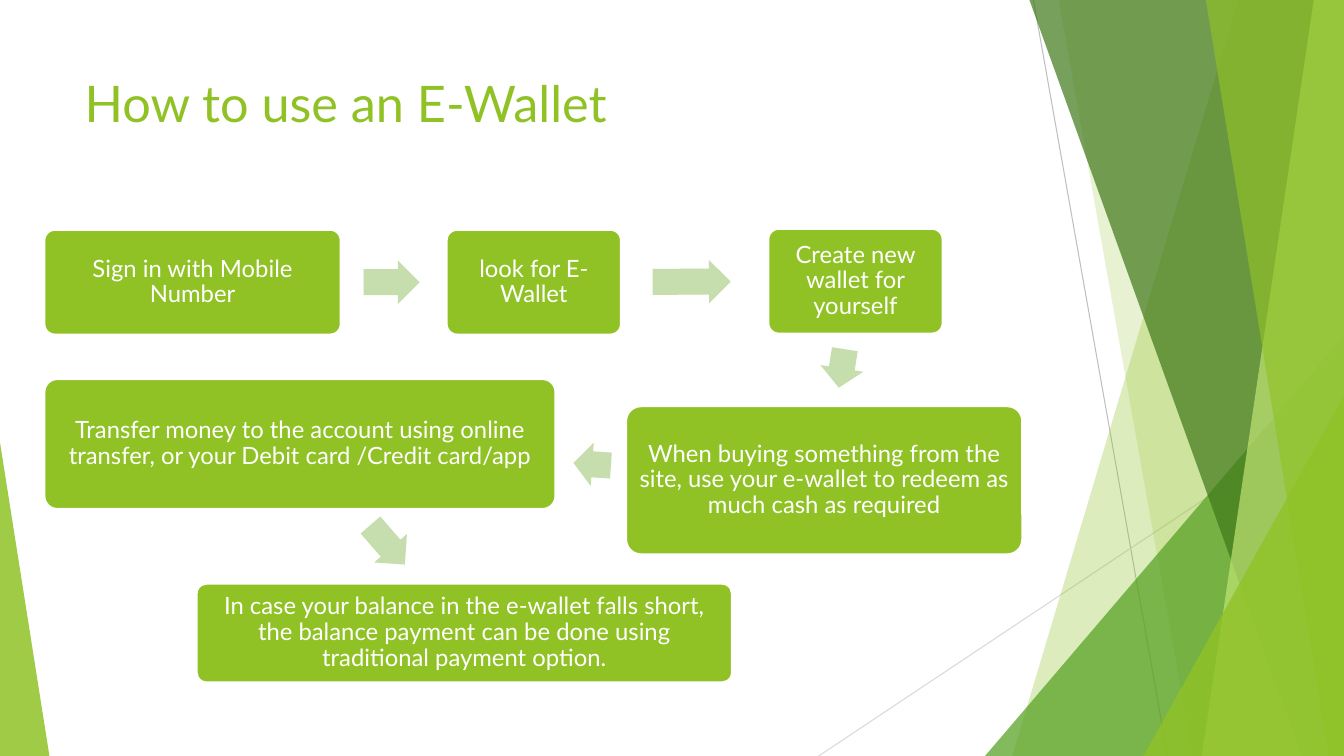
from itertools import pairwise
from math import atan2, degrees, hypot

from lxml import etree
from pptx import Presentation
from pptx.dml.color import RGBColor
from pptx.enum.shapes import MSO_CONNECTOR, MSO_SHAPE
from pptx.enum.text import MSO_ANCHOR, PP_ALIGN
from pptx.oxml.ns import qn
from pptx.util import Inches, Pt

WIDTH, HEIGHT = 13.33, 7.5
FONT = "Lato"
GREEN = RGBColor(0x90, 0xC2, 0x26)
LEAF = RGBColor(0x54, 0xA0, 0x21)
FOREST = RGBColor(0x3F, 0x78, 0x19)
LIME = RGBColor(0xC0, 0xE4, 0x74)
PALE = RGBColor(0xC6, 0xDD, 0xAD)
WHITE = RGBColor(0xFF, 0xFF, 0xFF)
GRAY = RGBColor(0xBF, 0xBF, 0xBF)
LIGHT_GRAY = RGBColor(0xD9, 0xD9, 0xD9)

TITLE = "How to use an E-Wallet"
STEPS = [
    ("Sign in with Mobile Number", 0.44, 2.28, 2.94, 1.04),
    ("look for E-Wallet", 4.43, 2.28, 1.73, 1.04),
    ("Create new wallet for yourself", 7.62, 2.27, 1.73, 1.04),
    ("When buying something from the site, use your e-wallet to redeem as much cash as required",
     6.21, 4.03, 3.93, 1.47),
    ("Transfer money to the account using online transfer, or your Debit card /Credit card/app",
     0.44, 3.76, 5.07, 1.29),
    ("In case your balance in the e-wallet falls short, the balance payment can be done using "
     "traditional payment option.", 1.95, 5.79, 5.31, 0.98),
]
RAYS = [(10.25, 0, 11.58, HEIGHT, GRAY), (WIDTH, 4.03, 8.12, HEIGHT, LIGHT_GRAY)]
BAND, WEDGE = "band", "wedge"
FACETS = [
    (BAND, 12.28, 10.04, GREEN, 30),
    (BAND, 10.5, 11.83, GREEN, 20),
    (WEDGE, 9.77, 3.33, LEAF, 72),
    (BAND, 10.21, 12.91, FOREST, 70),
    (BAND, 13.03, 11.92, LIME, 70),
    (BAND, 11.96, 13.18, GREEN, 65),
    (WEDGE, 11.34, 3.93, GREEN, 80),
]
ARROW_THICKNESS, ARROW_SHARE, ARROW_CENTRE = 0.43, 0.53, 0.48

prs = Presentation()
prs.slide_width, prs.slide_height = Inches(WIDTH), Inches(HEIGHT)
slide = prs.slides.add_slide(prs.slide_layouts[5])
shapes = slide.shapes


def paint(shape, color, opacity=100):
    shape.shadow.inherit = False
    shape.line.fill.background()
    shape.fill.solid()
    shape.fill.fore_color.rgb = color
    if opacity < 100:
        clr = shape.fill._xPr.find(qn("a:solidFill"))[0]
        etree.SubElement(clr, qn("a:alpha"), val=str(opacity * 1000))


def add_preset(kind, x, y, w, h, *adjustments):
    shape = shapes.add_shape(kind, Inches(x), Inches(y), Inches(w), Inches(h))
    for i, value in enumerate(adjustments):
        shape.adjustments[i] = value
    return shape


def add_ray(x1, y1, x2, y2, color):
    ray = shapes.add_connector(MSO_CONNECTOR.STRAIGHT, Inches(x1), Inches(y1), Inches(x2), Inches(y2))
    ray.line.color.rgb = color
    ray.line.width = Pt(0.75)
    etree.SubElement(ray._element.spPr, qn("a:effectLst"))


def add_band(top_x, bottom_x):
    outline = shapes.build_freeform(Inches(top_x), 0)
    corners = [(WIDTH, 0), (WIDTH, HEIGHT), (bottom_x, HEIGHT)]
    outline.add_line_segments([(Inches(x), Inches(y)) for x, y in corners])
    return outline.convert_to_shape()


def add_wedge(left, top, right, apex):
    return add_preset(MSO_SHAPE.ISOSCELES_TRIANGLE, left, top, right - left, HEIGHT - top, apex)


def style(frame, text, size, color):
    frame.word_wrap = True
    frame.text = text
    font = frame.paragraphs[0].runs[0].font
    font.name, font.size, font.color.rgb = FONT, Pt(size), color


def add_step(text, x, y, w, h):
    box = add_preset(MSO_SHAPE.ROUNDED_RECTANGLE, x, y, w, h, 0.1)
    paint(box, GREEN)
    box.line.color.rgb = WHITE
    box.line.width = Pt(1.5)
    frame = box.text_frame
    style(frame, text, 17, WHITE)
    frame.vertical_anchor = MSO_ANCHOR.MIDDLE
    frame.margin_left = frame.margin_right = Inches(0.07)
    frame.margin_top = frame.margin_bottom = Inches(0.07)
    paragraph = frame.paragraphs[0]
    paragraph.alignment = PP_ALIGN.CENTER
    paragraph.line_spacing = 0.9
    paragraph.space_after = Pt(6)


def add_step_arrow(start, end):
    (_, x1, y1, w1, h1), (_, x2, y2, w2, h2) = start, end
    cx, cy = x1 + w1 / 2, y1 + h1 / 2
    dx, dy = x2 + w2 / 2 - cx, y2 + h2 / 2 - cy

    def edge_share(w, h):
        return min(size / 2 / abs(d) for size, d in ((w, dx), (h, dy)) if d)

    leave = edge_share(w1, h1)
    gap = 1 - leave - edge_share(w2, h2)
    length = ARROW_SHARE * gap * hypot(dx, dy)
    middle = leave + ARROW_CENTRE * gap
    arrow = add_preset(MSO_SHAPE.RIGHT_ARROW, cx + middle * dx - length / 2,
                       cy + middle * dy - ARROW_THICKNESS / 2, length, ARROW_THICKNESS, 0.6, 0.5)
    arrow.rotation = degrees(atan2(dy, dx))
    paint(arrow, PALE)


for ray in RAYS:
    add_ray(*ray)
for kind, first, second, color, opacity in FACETS:
    facet = add_band(first, second) if kind == BAND else add_wedge(first, second, WIDTH, 1)
    paint(facet, color, opacity)
paint(add_wedge(0, 4.39, 0.49, 0), GREEN, 85)

title = shapes.title
title.left, title.top, title.width, title.height = map(Inches, (0.74, 0.67, 9.4, 1.44))
style(title.text_frame, TITLE, 36, GREEN)
title.text_frame.vertical_anchor = MSO_ANCHOR.TOP
title.text_frame.paragraphs[0].alignment = PP_ALIGN.LEFT

for step in STEPS:
    add_step(*step)
for start, end in pairwise(STEPS):
    add_step_arrow(start, end)

prs.save("out.pptx")
